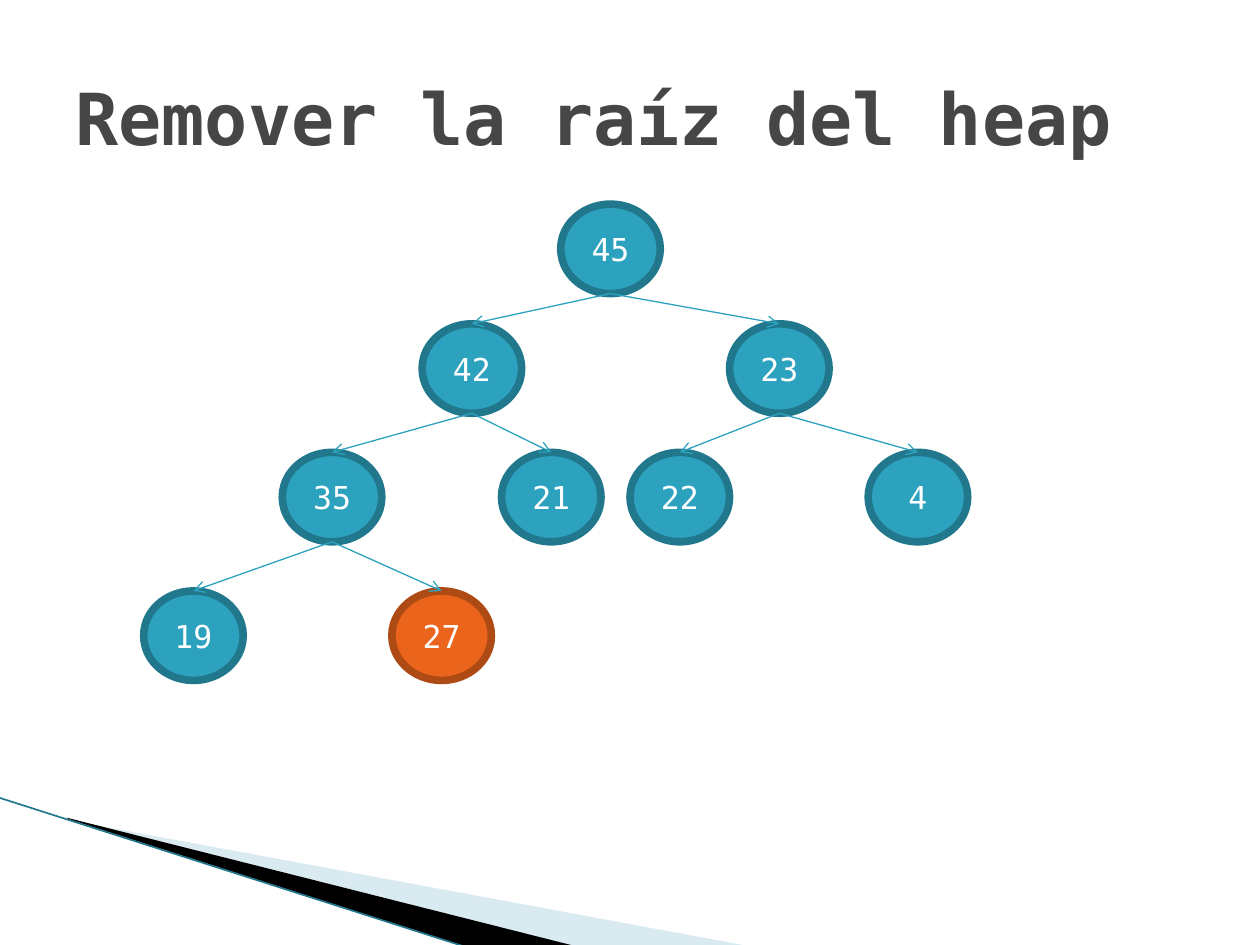
from lxml import etree
from pptx import Presentation
from pptx import util as u
from pptx.dml.color import RGBColor
from pptx.enum import shapes, text
from pptx.oxml.ns import qn

COLORS = {
    "title": "464646",
    "node": "2DA2BF",
    "node_border": "21788D",
    "last": "EB641B",
    "last_border": "AE4A14",
    "label": "FFFFFF",
    "band": "A0CBDC",
    "wedge": "000000",
}
NODE_WIDTH, NODE_HEIGHT = 0.79, 0.71
LEVEL_TOPS = [1.62, 2.57, 3.59, 4.69]
HEAP = [
    (45, 4.45),
    (42, 3.35), (23, 5.79),
    (35, 2.24), (21, 3.98), (22, 5), (4, 6.89),
    (19, 1.14), (27, 3.11),
]


class HeapSlide:
    """Draws heap diagram elements on one slide in a shared style."""

    font = "DejaVu Sans Mono"

    def __init__(self, slide):
        self.slide = slide

    def color(self, name):
        return RGBColor.from_string(COLORS[name])

    def label(self, shape, words, size, color, bold=False):
        frame = shape.text_frame
        frame.text = words
        frame.word_wrap = True
        frame.vertical_anchor = text.MSO_ANCHOR.MIDDLE
        font = frame.paragraphs[0].runs[0].font
        font.name, font.size, font.bold = self.font, u.Pt(size), bold
        font.color.rgb = self.color(color)
        return frame

    def title(self, words, left, top, width, height):
        box = self.slide.shapes.add_textbox(*map(u.Inches, (left, top, width, height)))
        self.label(box, words, 41, "title", bold=True)

    def polygon(self, points, fill, opacity=100):
        corners = [(u.Inches(x), u.Inches(y)) for x, y in points]
        builder = self.slide.shapes.build_freeform(*corners[0])
        builder.add_line_segments(corners[1:])
        shape = builder.convert_to_shape()
        shape.shadow.inherit = False
        shape.fill.solid()
        shape.fill.fore_color.rgb = self.color(fill)
        shape.line.fill.background()
        if opacity < 100:
            color = shape._element.spPr.find(qn("a:solidFill"))[0]
            etree.SubElement(color, qn("a:alpha"), val=str(opacity * 1000))

    def node(self, value, left, top, fill):
        shape = self.slide.shapes.add_shape(
            shapes.MSO_SHAPE.OVAL,
            *map(u.Inches, (left, top, NODE_WIDTH, NODE_HEIGHT)))
        shape.shadow.inherit = False
        shape.fill.solid()
        shape.fill.fore_color.rgb = self.color(fill)
        shape.line.color.rgb = self.color(fill + "_border")
        shape.line.width = u.Pt(4.33)
        frame = self.label(shape, str(value), 18, "label")
        frame.margin_left = frame.margin_right = 0
        frame.paragraphs[0].alignment = text.PP_ALIGN.CENTER

    def line(self, start, end, color, width, arrow=False):
        connector = self.slide.shapes.add_connector(
            shapes.MSO_CONNECTOR.STRAIGHT, *map(u.Inches, (*start, *end)))
        connector.line.color.rgb = self.color(color)
        connector.line.width = u.Pt(width)
        properties = connector._element.spPr
        if arrow:
            outline = properties.find(qn("a:ln"))
            etree.SubElement(outline, qn("a:tailEnd"), type="arrow")
        etree.SubElement(properties, qn("a:effectLst"))


def main():
    presentation = Presentation()
    presentation.slide_width, presentation.slide_height = u.Inches(10), u.Inches(7.5)
    heap = HeapSlide(presentation.slides.add_slide(presentation.slide_layouts[6]))

    heap.polygon([(0.55, 6.51), (5.95, 7.51), (4.56, 7.51), (0.55, 6.5)], "band", 40)
    heap.polygon([(0.53, 6.49), (4.57, 7.51), (3.72, 7.52), (0.54, 6.5)], "wedge")
    heap.line((-0.01, 6.33), (3.71, 7.52), "node_border", 0.95)
    heap.title("Remover la raíz del heap", 0.5, 0.3, 9, 1.25)

    places = []
    for index, (value, left) in enumerate(HEAP):
        top = LEVEL_TOPS[(index + 1).bit_length() - 1]
        heap.node(value, left, top, "last" if index == len(HEAP) - 1 else "node")
        places.append((left + NODE_WIDTH / 2, top))

    for index, child in enumerate(places[1:], start=1):
        x, top = places[(index - 1) // 2]
        heap.line((x, top + NODE_HEIGHT), child, "node", 0.75, arrow=True)

    presentation.save("out.pptx")


if __name__ == "__main__":
    main()
